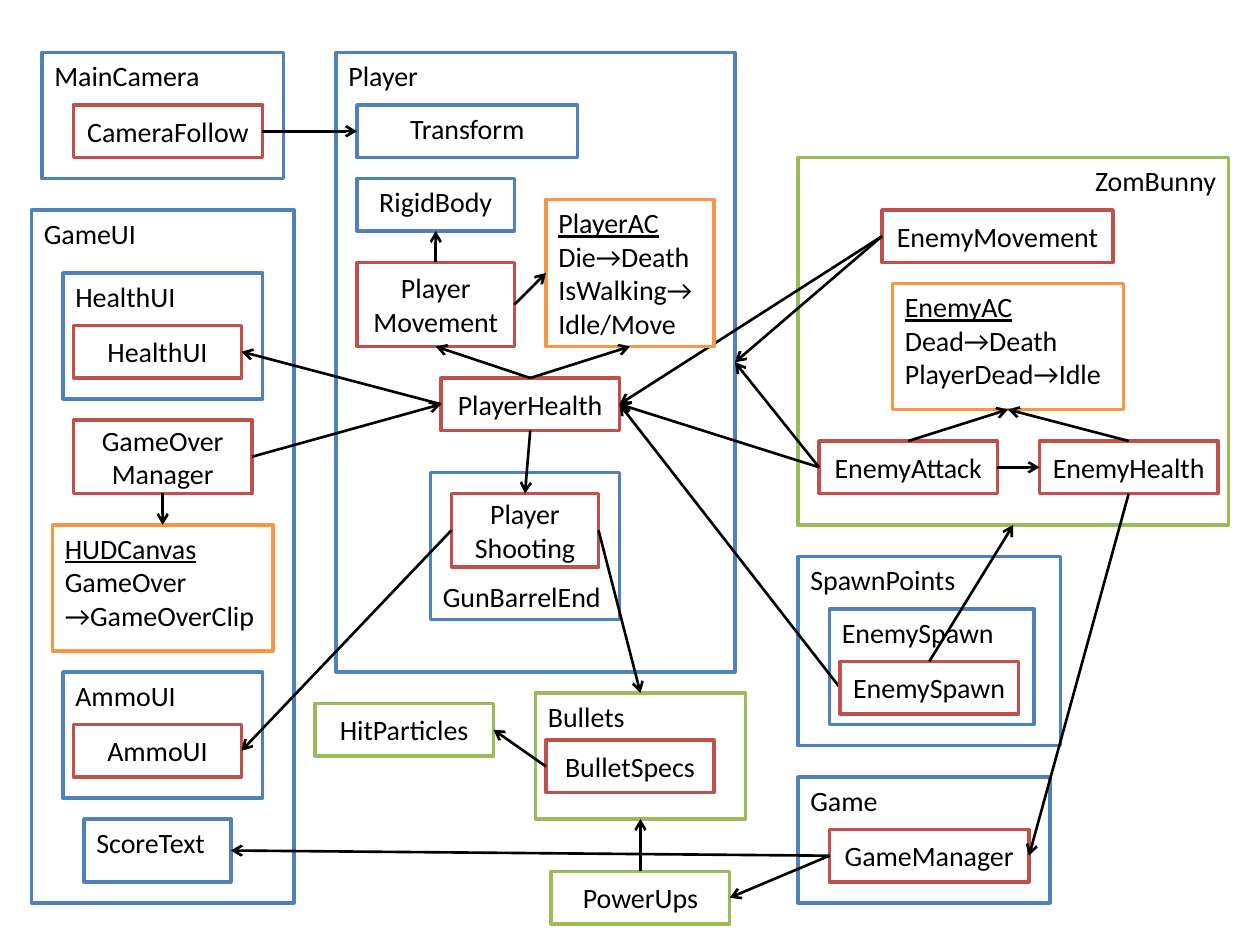
from lxml import etree
from pptx import Presentation
from pptx.dml.color import RGBColor
from pptx.enum.shapes import MSO_CONNECTOR, MSO_SHAPE
from pptx.enum.text import MSO_ANCHOR, PP_ALIGN
from pptx.oxml.ns import qn
from pptx.util import Inches, Pt

RECTANGLE = MSO_SHAPE.RECTANGLE
STRAIGHT = MSO_CONNECTOR.STRAIGHT
LEFT_ALIGN, CENTER, RIGHT_ALIGN = PP_ALIGN.LEFT, PP_ALIGN.CENTER, PP_ALIGN.RIGHT
ANCHOR_TOP, MIDDLE, ANCHOR_BOTTOM = MSO_ANCHOR.TOP, MSO_ANCHOR.MIDDLE, MSO_ANCHOR.BOTTOM

# Connection sites of a rectangle
TOP, LEFT, BOTTOM, RIGHT = range(4)

BLUE, RED, GREEN, ORANGE = "4F81BD", "C0504D", "9BBB59", "F79646"
WHITE, BLACK = "FFFFFF", "000000"
GRID_STEPS = 24  # grid steps per inch

# Text placement: horizontal alignment and vertical anchor
TITLE = (LEFT_ALIGN, ANCHOR_TOP)
TITLE_RIGHT = (RIGHT_ALIGN, ANCHOR_TOP)
TITLE_BELOW = (LEFT_ALIGN, ANCHOR_BOTTOM)
TOP_CENTER = (CENTER, ANCHOR_TOP)
LABEL = (CENTER, MIDDLE)

# Key, left, top, width, height, outline, placement, text; outer boxes come first
BOXES = [
    ("GameUI", 0.25, 1.67, 2.08, 5.5, BLUE, TITLE, "GameUI"),
    ("HealthUI", 0.5, 2.17, 1.58, 1, BLUE, TITLE, "HealthUI"),
    ("HealthUI script", 0.58, 2.58, 1.33, 0.42, RED, LABEL, "HealthUI"),
    ("GameOverManager", 0.58, 3.33, 1.42, 0.58, RED, LABEL, "GameOver\nManager"),
    ("HUDCanvas", 0.42, 4.17, 1.75, 1, ORANGE, TITLE,
     "HUDCanvas\nGameOver →GameOverClip"),
    ("AmmoUI", 0.5, 5.33, 1.58, 1, BLUE, TITLE, "AmmoUI"),
    ("AmmoUI script", 0.58, 5.75, 1.33, 0.42, RED, LABEL, "AmmoUI"),
    ("ScoreText", 0.67, 6.5, 1.17, 0.5, BLUE, TITLE, "ScoreText"),
    ("MainCamera", 0.33, 0.42, 1.92, 1, BLUE, TITLE, "MainCamera"),
    ("CameraFollow", 0.58, 0.83, 1.5, 0.42, RED, LABEL, "CameraFollow"),
    ("Player", 2.67, 0.42, 3.17, 4.92, BLUE, TITLE, "Player"),
    ("Transform", 2.83, 0.83, 1.75, 0.42, BLUE, TOP_CENTER, "Transform"),
    ("RigidBody", 2.83, 1.42, 1.25, 0.42, BLUE, TOP_CENTER, "RigidBody"),
    ("PlayerMovement", 2.83, 2.08, 1.25, 0.67, RED, LABEL, "Player\nMovement"),
    ("PlayerHealth", 3.5, 3, 1.42, 0.42, RED, LABEL, "PlayerHealth"),
    ("GunBarrelEnd", 3.42, 3.75, 1.5, 1.17, BLUE, TITLE_BELOW, "GunBarrelEnd"),
    ("PlayerShooting", 3.58, 3.92, 1.17, 0.58, RED, LABEL, "Player\nShooting"),
    ("Bullets", 4.25, 5.5, 1.67, 1, GREEN, TITLE, "Bullets"),
    ("BulletSpecs", 4.33, 5.88, 1.33, 0.42, RED, LABEL, "BulletSpecs"),
    ("HitParticles", 2.5, 5.58, 1.42, 0.42, GREEN, LABEL, "HitParticles"),
    ("PowerUps", 4.38, 6.92, 1.42, 0.42, GREEN, LABEL, "PowerUps"),
    ("SpawnPoints", 6.33, 4.42, 2.08, 1.5, BLUE, TITLE, "SpawnPoints"),
    ("EnemySpawn", 6.58, 4.83, 1.63, 0.93, BLUE, TITLE, "EnemySpawn"),
    ("EnemySpawn script", 6.67, 5.25, 1.42, 0.42, RED, LABEL, "EnemySpawn"),
    ("ZomBunny", 6.33, 1.25, 3.42, 2.92, GREEN, TITLE_RIGHT, "ZomBunny"),
    ("EnemyMovement", 7, 1.67, 1.83, 0.42, RED, LABEL, "EnemyMovement"),
    ("EnemyAC", 7.08, 2.25, 1.83, 1, ORANGE, TITLE,
     "EnemyAC\nDead→Death\nPlayerDead→Idle"),
    ("EnemyAttack", 6.5, 3.5, 1.42, 0.42, RED, LABEL, "EnemyAttack"),
    ("EnemyHealth", 8.25, 3.5, 1.42, 0.42, RED, LABEL, "EnemyHealth"),
    ("Game", 6.33, 6.17, 2, 1, BLUE, TITLE, "Game"),
    ("GameManager", 6.58, 6.58, 1.58, 0.42, RED, LABEL, "GameManager"),
    ("PlayerAC", 4.33, 1.58, 1.33, 1.17, ORANGE, TITLE,
     "PlayerAC\nDie→Death\nIsWalking→\nIdle/Move"),
]

# Start box, its side, end box, its side
ARROWS = [
    ("CameraFollow", RIGHT, "Transform", LEFT),
    ("PlayerMovement", TOP, "RigidBody", BOTTOM),
    ("PlayerMovement", RIGHT, "PlayerAC", LEFT),
    ("PlayerHealth", TOP, "PlayerAC", BOTTOM),
    ("PlayerHealth", TOP, "PlayerMovement", BOTTOM),
    ("PlayerHealth", BOTTOM, "PlayerShooting", TOP),
    ("PlayerHealth", LEFT, "HealthUI script", RIGHT),
    ("GameOverManager", RIGHT, "PlayerHealth", LEFT),
    ("GameOverManager", BOTTOM, "HUDCanvas", TOP),
    ("PlayerShooting", LEFT, "AmmoUI script", RIGHT),
    ("PlayerShooting", RIGHT, "Bullets", TOP),
    ("BulletSpecs", LEFT, "HitParticles", RIGHT),
    ("PowerUps", TOP, "Bullets", BOTTOM),
    ("GameManager", LEFT, "PowerUps", RIGHT),
    ("GameManager", LEFT, "ScoreText", RIGHT),
    ("EnemyMovement", LEFT, "Player", RIGHT),
    ("EnemyMovement", LEFT, "PlayerHealth", RIGHT),
    ("EnemyAttack", LEFT, "Player", RIGHT),
    ("EnemyAttack", LEFT, "PlayerHealth", RIGHT),
    ("EnemyAttack", TOP, "EnemyAC", BOTTOM),
    ("EnemyAttack", RIGHT, "EnemyHealth", LEFT),
    ("EnemyHealth", TOP, "EnemyAC", BOTTOM),
    ("EnemyHealth", BOTTOM, "GameManager", RIGHT),
    ("EnemySpawn script", LEFT, "PlayerHealth", RIGHT),
    ("EnemySpawn script", TOP, "ZomBunny", BOTTOM),
]

# Arrows that pass beneath a box: start and end box, covering box
COVERED = {
    ("EnemyMovement", "PlayerHealth"): "PlayerAC",
    ("EnemySpawn script", "PlayerHealth"): "EnemySpawn script",
}


def color(value):
    """Return the colour for a hex string."""
    return RGBColor.from_string(value)


def on_grid(value):
    """Return a length in inches, snapped to the grid."""
    return Inches(round(value * GRID_STEPS) / GRID_STEPS)


presentation = Presentation()
presentation.slide_width = Inches(10)
presentation.slide_height = Inches(7.5)
slide = presentation.slides.add_slide(presentation.slide_layouts[6])

boxes = {}
for key, left, top, width, height, outline, (alignment, anchor), text in BOXES:
    shape = slide.shapes.add_shape(
        RECTANGLE, on_grid(left), on_grid(top), on_grid(width), on_grid(height))
    shape.shadow.inherit = False
    shape.fill.solid()
    shape.fill.fore_color.rgb = color(WHITE)
    shape.line.color.rgb = color(outline)
    shape.line.width = Pt(2)
    text_frame = shape.text_frame
    text_frame.text = text
    text_frame.vertical_anchor = anchor
    for index, paragraph in enumerate(text_frame.paragraphs):
        paragraph.alignment = alignment
        font = paragraph.runs[0].font
        font.name = "Calibri"
        font.size = Pt(16)
        font.color.rgb = color(BLACK)
        if outline == ORANGE and index == 0:
            font.underline = True
    boxes[key] = shape

for start, start_side, end, end_side in ARROWS:
    connector = slide.shapes.add_connector(STRAIGHT, 0, 0, 0, 0)
    connector.begin_connect(boxes[start], start_side)
    connector.end_connect(boxes[end], end_side)
    connector.line.color.rgb = color(BLACK)
    connector.line.width = Pt(1.5)
    properties = connector.element.spPr
    etree.SubElement(properties.find(qn("a:ln")), qn("a:tailEnd"), type="arrow")
    etree.SubElement(properties, qn("a:effectLst"))
    if (start, end) in COVERED:
        boxes[COVERED[start, end]].element.addprevious(connector.element)

presentation.save("out.pptx")
